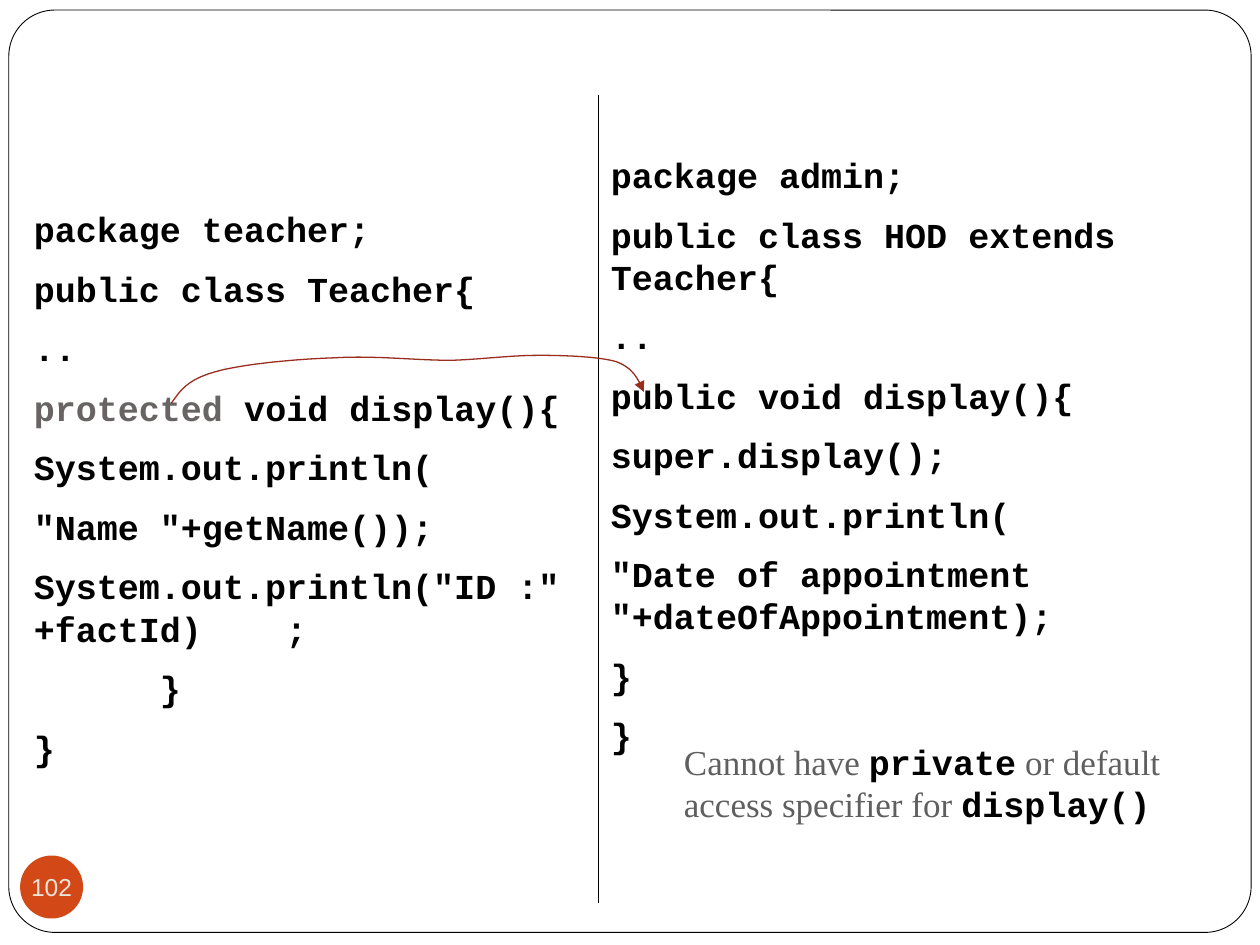
from lxml import etree
from pptx import Presentation, util as u
from pptx.dml.color import RGBColor
from pptx.enum import shapes, text
from pptx.oxml.ns import qn

BLACK = RGBColor(0x00, 0x00, 0x00)
WHITE = RGBColor(0xFF, 0xFF, 0xFF)
KEYWORD = RGBColor(0x69, 0x64, 0x64)
GREY = RGBColor(0x5F, 0x5F, 0x5F)
RUST = RGBColor(0x9B, 0x2D, 0x1F)
ORANGE = RGBColor(0xD3, 0x48, 0x17)
CREAM = RGBColor(0xE9, 0xE5, 0xDC)
WIDTH, HEIGHT = 10, 7.5
DIVIDER = 4.75
TAB_STOPS = (1, 2)

# Content: each paragraph is a list of (text, style) spans
CODE = dict(name="Courier New", color=BLACK, bold=True)
ACCESS = dict(CODE, color=KEYWORD)
PROSE = dict(name="Times New Roman", color=GREY)

TEACHER = [
    [("package teacher;", CODE)],
    [("public class Teacher{", CODE)],
    [("..", CODE)],
    [("protected", ACCESS), (" void display(){", CODE)],
    [("System.out.println(", CODE)],
    [('"Name "+getName());', CODE)],
    [('System.out.println("ID :"+factId)\t;', CODE)],
    [("\t}", CODE)],
    [("}", CODE)],
]
HOD = [[(line, CODE)] for line in (
    "package admin;",
    "public class HOD extends Teacher{",
    "..",
    "public void display(){",
    "super.display();",
    "System.out.println(",
    '"Date of appointment "+dateOfAppointment);',
    "}",
    "}",
)]
NOTE = [[("Cannot have ", PROSE), ("private", CODE),
         (" or default access specifier for ", PROSE), ("display()", CODE)]]
BOXES = [  # paragraphs, left, top, width, height
    (TEACHER, 0.17, 1.6, 4.42, 4.81),
    (HOD, DIVIDER, 1.17, WIDTH - DIVIDER, 5.25),
    (NOTE, 5.33, 5.83, 4, 1.11),
]
# Override arrow: start, then two controls and an end per curve
ARROW = [
    (1.36, 3.2),
    (1.43, 3.1), (1.49, 3.01), (1.71, 2.95),
    (1.92, 2.89), (2.34, 2.85), (2.65, 2.84),
    (2.97, 2.82), (3.31, 2.86), (3.58, 2.86),
    (3.85, 2.85), (4.05, 2.82), (4.27, 2.82),
    (4.49, 2.82), (4.75, 2.83), (4.89, 2.87),
    (5.03, 2.92), (5.07, 3.02), (5.11, 3.11),
]


def add_span(para, words, size=20, name="Arial", color=BLACK, bold=False):
    span = para.add_run()
    span.text = words
    span.font.size = u.Pt(size)
    span.font.name = name
    span.font.bold = bold
    span.font.color.rgb = color


def add_tab_stops(para):
    stops = etree.SubElement(para._p.get_or_add_pPr(), qn("a:tabLst"))
    for stop in TAB_STOPS:
        etree.SubElement(stops, qn("a:tab"), pos=str(u.Inches(stop)), algn="l")


def add_text(page, paragraphs, *place):
    box = page.shapes.add_textbox(*map(u.Inches, place))
    frame = box.text_frame
    frame.word_wrap = True
    frame.auto_size = text.MSO_AUTO_SIZE.SHAPE_TO_FIT_TEXT
    for index, spans in enumerate(paragraphs):
        para = frame.add_paragraph() if index else frame.paragraphs[0]
        if any("\t" in words for words, style in spans):
            add_tab_stops(para)
        if index:
            para.space_before = u.Pt(10)
        for words, style in spans:
            add_span(para, words, **style)


def add_panel(page, kind, place, fill):
    panel = page.shapes.add_shape(kind, *map(u.Inches, place))
    panel.shadow.inherit = False
    panel.fill.solid()
    panel.fill.fore_color.rgb = fill
    return panel


def curve_points(points, steps=10):
    """Sample a chain of cubic curves."""
    for first in range(0, len(points) - 1, 3):
        for step in range(1, steps + 1):
            t = step / steps
            weights = ((1 - t) ** 3, 3 * t * (1 - t) ** 2, 3 * t * t * (1 - t), t ** 3)
            yield tuple(sum(w * p[axis] for w, p in zip(weights, points[first:first + 4]))
                        for axis in (0, 1))


def main():
    deck = Presentation()
    deck.slide_width, deck.slide_height = u.Inches(WIDTH), u.Inches(HEIGHT)
    page = deck.slides.add_slide(deck.slide_layouts[6])

    # Rounded frame
    frame = add_panel(page, shapes.MSO_SHAPE.ROUNDED_RECTANGLE, (0.07, 0.08, 9.86, 7.32), WHITE)
    frame.adjustments[0] = 0.05
    frame.line.color.rgb = BLACK
    frame.line.width = u.Pt(0.5)

    # Code columns and note
    for paragraphs, *place in BOXES:
        add_text(page, paragraphs, *place)

    # Divider
    divider = page.shapes.add_connector(
        shapes.MSO_CONNECTOR.STRAIGHT, *map(u.Inches, (DIVIDER, 0.75, DIVIDER, 7.17)))
    divider.line.color.rgb = BLACK
    divider.line.width = u.Pt(0.75)
    etree.SubElement(divider._element.spPr, qn("a:effectLst"))

    # Curved arrow between the two methods, in whole EMU because points are rounded
    start, *bends = [(u.Inches(x), u.Inches(y)) for x, y in [ARROW[0], *curve_points(ARROW)]]
    builder = page.shapes.build_freeform(*start)
    builder.add_line_segments(bends, close=False)
    arrow = builder.convert_to_shape()
    arrow.shadow.inherit = False
    arrow.fill.background()
    arrow.line.color.rgb = RUST
    arrow.line.width = u.Pt(0.75)
    etree.SubElement(arrow.line._get_or_add_ln(), qn("a:tailEnd"), type="triangle")

    # Page number
    badge = add_panel(page, shapes.MSO_SHAPE.OVAL, (0.16, 6.79, 0.5, 0.5), ORANGE)
    badge.line.fill.background()
    label = badge.text_frame
    label.margin_left = label.margin_right = label.margin_top = label.margin_bottom = 0
    label.word_wrap = False
    label.vertical_anchor = text.MSO_ANCHOR.MIDDLE
    label.paragraphs[0].alignment = text.PP_ALIGN.CENTER
    add_span(label.paragraphs[0], "102", size=14, color=CREAM)

    deck.save("out.pptx")


if __name__ == "__main__":
    main()
